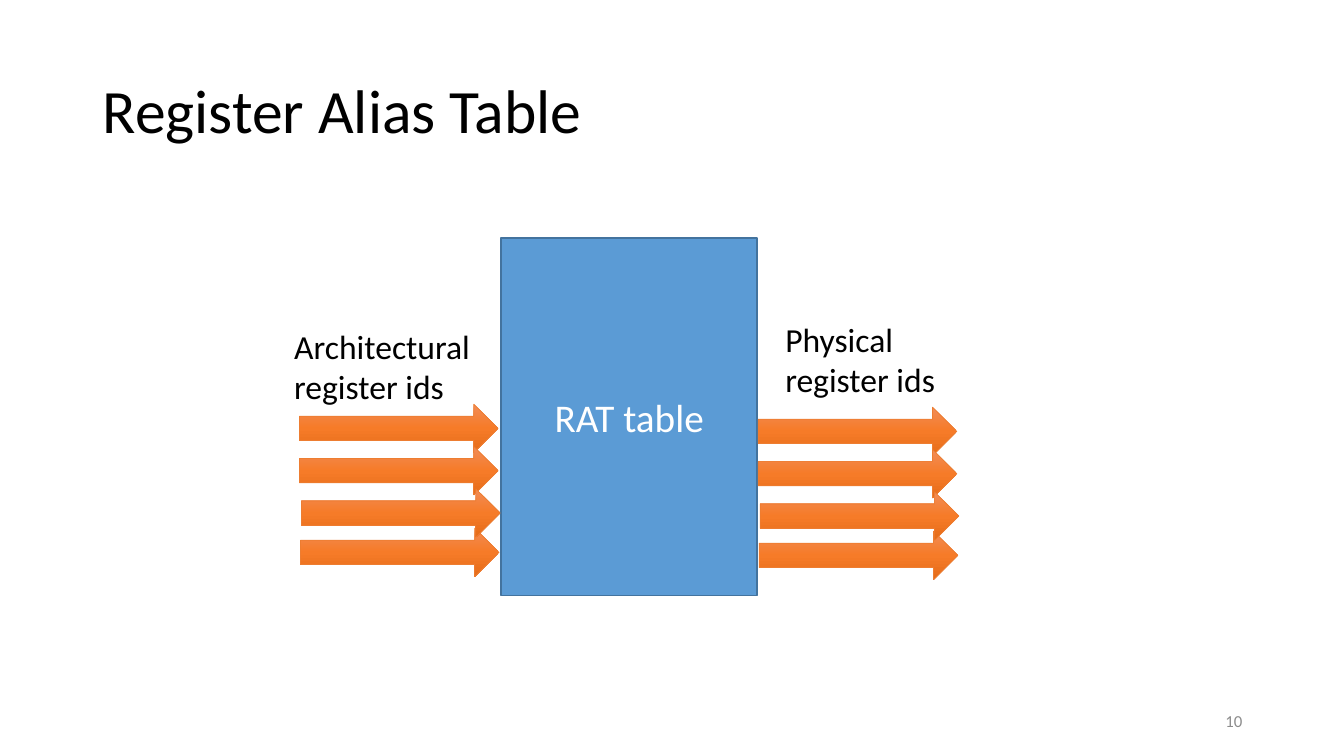
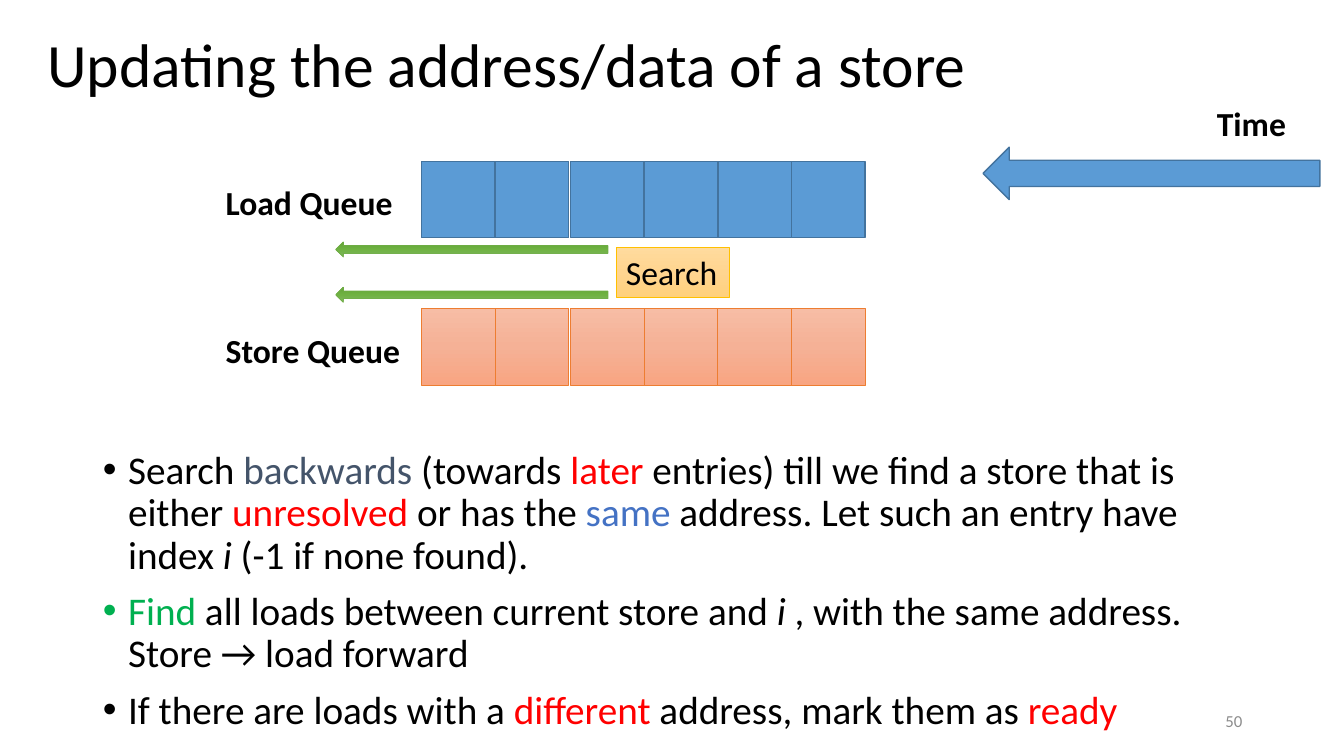
from copy import deepcopy

from pptx import Presentation
from pptx.dml.color import RGBColor
from pptx.enum.shapes import MSO_SHAPE
from pptx.enum.text import MSO_ANCHOR, MSO_AUTO_SIZE, PP_ALIGN
from pptx.util import Inches, Pt

RECT, ARROW = MSO_SHAPE.RECTANGLE, MSO_SHAPE.RIGHT_ARROW
LEFT, CENTER, RIGHT = PP_ALIGN.LEFT, PP_ALIGN.CENTER, PP_ALIGN.RIGHT
TOP, MIDDLE = MSO_ANCHOR.TOP, MSO_ANCHOR.MIDDLE
FIXED, GROW = MSO_AUTO_SIZE.NONE, MSO_AUTO_SIZE.SHAPE_TO_FIT_TEXT
TITLE_AND_CONTENT, TITLE_ONLY = 1, 5

COLORS = {
    "black": "000000", "white": "FFFFFF", "gray": "8C8C8C",
    "slate": "44546A", "red": "FF0000", "blue": "4472C4", "green": "00B050",
}
FINISHES = {
    "blue": {"fill": ["5B9BD5"], "line": "43739E", "width": 1},
    "orange": {"fill": ["F18C57", "F67B28", "E56C19"], "line": "ED7D31", "width": 0.5},
    "peach": {"fill": ["F7BDA5", "F5B196", "F8A582"], "line": "ED7D31", "width": 0.5},
    "green": {"fill": ["81B861", "6FB242", "62A336"], "line": "70AD47", "width": 0.5},
    "gold": {"fill": ["FFDB9E", "FFD590", "FFD07C"], "line": "FFC000", "width": 0.5},
}


def rgb(hex_color):
    return RGBColor.from_string(hex_color)


class Deck:
    font = "Calibri"

    def __init__(self):
        self.prs = Presentation()
        self.prs.slide_width, self.prs.slide_height = Inches(13.33), Inches(7.5)
        self.slide = None

    def new_slide(self, layout, title, left, top, number):
        self.slide = self.prs.slides.add_slide(self.prs.slide_layouts[layout])
        heading = self.slide.shapes.title
        self.place(heading, left, top, 11.5, 1.45)
        self.set_text(heading, title, 44, anchor=MIDDLE)
        heading.text_frame.paragraphs[0].line_spacing = 0.9
        self.label(number, 9.42, 6.95, 3, 0.4, size=12, color="gray",
                   align=RIGHT, anchor=MIDDLE, wrap=True, fit=FIXED)

    def place(self, shape, left, top, width, height):
        shape.left, shape.top = Inches(left), Inches(top)
        shape.width, shape.height = Inches(width), Inches(height)

    def style_run(self, run, size, color="black", bold=False, italic=False):
        run.font.name, run.font.size = self.font, Pt(size)
        run.font.bold, run.font.italic = bold, italic
        run.font.color.rgb = rgb(COLORS[color])

    def set_text(self, shape, text, size, color="black", bold=False,
                 align=LEFT, anchor=TOP, wrap=True, fit=FIXED):
        frame = shape.text_frame
        frame.text = text
        frame.word_wrap, frame.auto_size = wrap, fit
        frame.vertical_anchor = anchor
        for paragraph in frame.paragraphs:
            paragraph.alignment = align
            for run in paragraph.runs:
                self.style_run(run, size, color, bold)

    def label(self, text, left, top, width, height, size=24, wrap=False, fit=GROW, **style):
        box = self.slide.shapes.add_textbox(
            Inches(left), Inches(top), Inches(width), Inches(height))
        self.set_text(box, text, size, wrap=wrap, fit=fit, **style)

    def block(self, kind, finish, left, top, width, height, rotation=0):
        shape = self.slide.shapes.add_shape(
            kind, Inches(left), Inches(top), Inches(width), Inches(height))
        shape.shadow.inherit = False
        shape.rotation = rotation
        look = FINISHES[finish]
        self.paint(shape.fill, look["fill"])
        shape.line.color.rgb = rgb(look["line"])
        shape.line.width = Pt(look["width"])
        return shape

    def paint(self, fill, colors):
        if len(colors) == 1:
            fill.solid()
            fill.fore_color.rgb = rgb(colors[0])
            return
        fill.gradient()
        fill.gradient_angle = 270
        first = fill.gradient_stops[0]._gs
        first.addnext(deepcopy(first))
        for index, (stop, color) in enumerate(zip(fill.gradient_stops, colors)):
            stop.position = index / (len(colors) - 1)
            stop.color.rgb = rgb(color)

    def bullets(self, items, left, top, width, height):
        body = self.slide.placeholders[1]
        self.place(body, left, top, width, height)
        frame = body.text_frame
        frame.auto_size = FIXED
        for index, pieces in enumerate(items):
            paragraph = frame.paragraphs[0] if index == 0 else frame.add_paragraph()
            paragraph.line_spacing, paragraph.space_before = 0.9, Pt(10)
            properties = paragraph._p.get_or_add_pPr()
            properties.set("marL", str(Inches(0.25)))
            properties.set("indent", str(Inches(-0.25)))
            for text, look in pieces:
                run = paragraph.add_run()
                run.text = text
                italic = look == "italic"
                self.style_run(run, 28, "black" if italic else look, italic=italic)


def alias_table_slide(deck):
    deck.new_slide(TITLE_ONLY, "Register Alias Table", 0.92, 0.4, "10")
    rat = deck.block(RECT, "blue", 4.97, 2.36, 2.54, 3.55)
    deck.set_text(rat, "RAT table", 28, color="white", align=CENTER, anchor=MIDDLE)
    deck.label("Architectural\vregister ids", 2.82, 3.18, 1.96, 0.91)
    deck.label("Physical\vregister ids", 7.69, 3.11, 1.7, 0.91)
    port_offsets = [(0, 0), (0, 0.42), (0.01, 1.23), (0.02, 0.84)]
    for left, top in [(2.97, 4.01), (7.52, 4.04)]:
        for dx, dy in port_offsets:
            deck.block(ARROW, "orange", left + dx, top + dy, 1.97, 0.48)


def store_update_slide(deck):
    deck.new_slide(TITLE_AND_CONTENT, "Updating the address/data of a store",
                   0.37, -0.05, "50")
    deck.bullets([
        [("Search ", "black"), ("backwards", "slate"), (" (towards ", "black"),
         ("later", "red"), (" entries) till we find a store that is either ", "black"),
         ("unresolved", "red"), (" or has the ", "black"), ("same", "blue"),
         (" address. Let such an entry have index ", "black"), ("i ", "italic"),
         ("(-1 if none found).", "black")],
        [("Find", "green"), (" all loads between current store and ", "black"),
         ("i ", "italic"), (", with the same address. Store → load forward", "black")],
        [("If there are loads with a ", "black"), ("different", "red"),
         (" address, mark them as ", "black"), ("ready", "red")],
    ], 0.92, 4.42, 11.5, 2.94)

    cell_width = 0.73
    cell_groups = [(4.18, 2), (5.66, 4)]
    queues = [("Load Queue", "blue", 1.6, 1.88), ("Store Queue", "peach", 3.06, 1.95)]
    for name, finish, top, name_width in queues:
        for start, count in cell_groups:
            for index in range(count):
                deck.block(RECT, finish, start + index * cell_width, top, cell_width, 0.76)
        deck.label(name, 2.14, top + 0.16, name_width, 0.5, bold=True)

    deck.block(ARROW, "blue", 9.75, 1.46, 3.34, 0.52, rotation=180)
    deck.label("Time", 11.97, 0.97, 0.89, 0.5, bold=True)
    for top in (2.85, 2.4):
        deck.block(ARROW, "green", 3.33, top, 2.7, 0.15, rotation=180)
    search = deck.block(RECT, "gold", 6.11, 2.45, 1.12, 0.5)
    deck.set_text(search, "Search", 24, wrap=False, fit=GROW)


def main():
    deck = Deck()
    alias_table_slide(deck)
    store_update_slide(deck)
    deck.prs.save("out.pptx")


if __name__ == "__main__":
    main()
